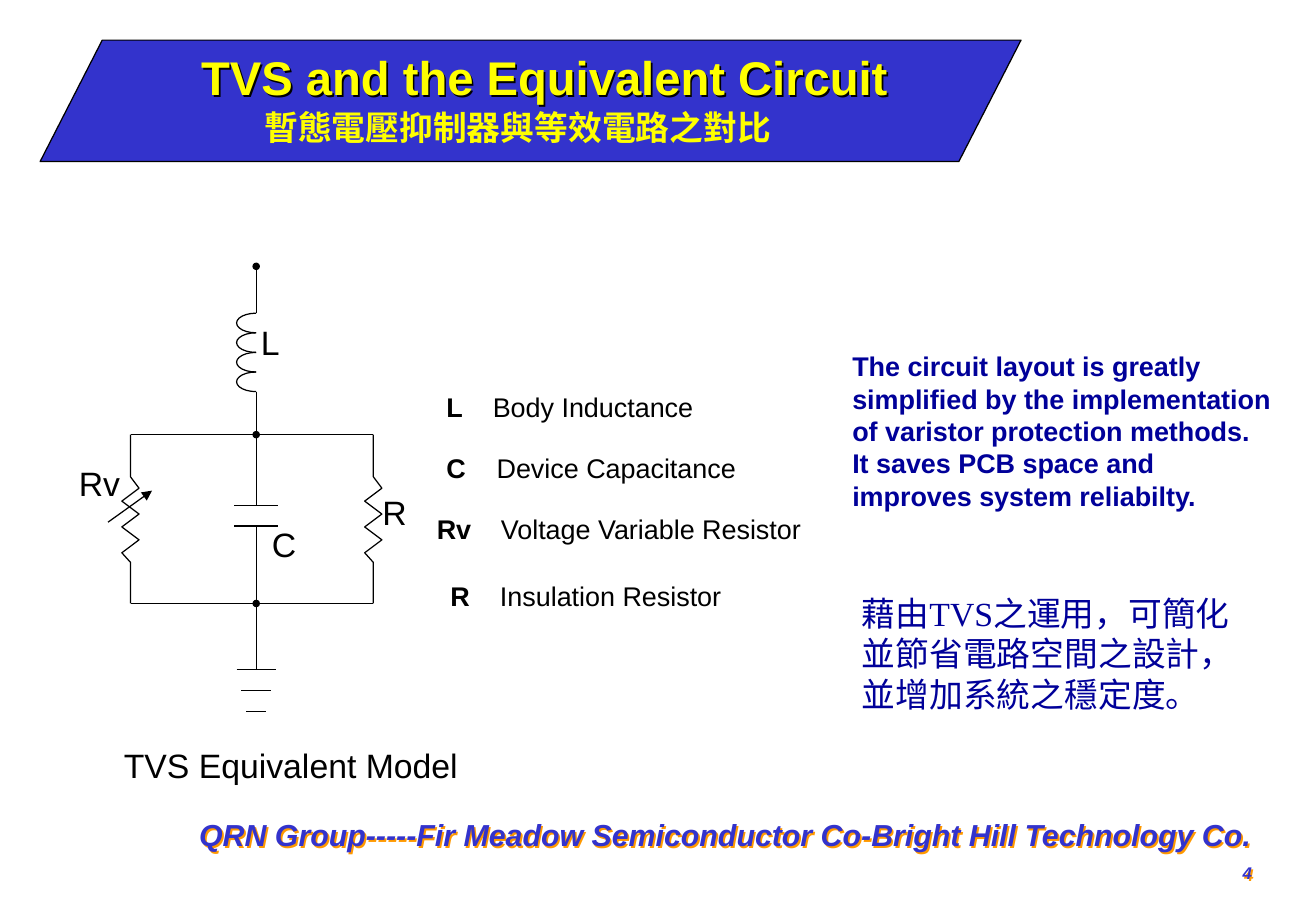
from lxml import etree
from pptx import Presentation
from pptx.dml.color import RGBColor
from pptx.enum.shapes import MSO_CONNECTOR, MSO_SHAPE
from pptx.enum.text import MSO_AUTO_SIZE, PP_ALIGN
from pptx.oxml.ns import qn
from pptx.util import Cm, Pt

BLACK = RGBColor(0x00, 0x00, 0x00)
YELLOW = RGBColor(0xFF, 0xFF, 0x00)
BLUE = RGBColor(0x33, 0x33, 0xCC)
NAVY = RGBColor(0x00, 0x00, 0x99)
ORANGE = RGBColor(0xFF, 0x99, 0x00)
LINE_WIDTH = Pt(0.75)


def write(p, text, size=20, color=BLACK, font="Arial", bold=False, italic=False):
    r = p.add_run()
    r.text = text
    r.font.size = Pt(size)
    r.font.name = font
    r.font.bold = bold
    r.font.italic = italic
    r.font.color.rgb = color


def text_box(s, x, y, w, h, before=0, wrap=True):
    sp = s.shapes.add_textbox(Cm(x), Cm(y), Cm(w), Cm(h))
    tf = sp.text_frame
    tf.word_wrap = wrap
    tf.auto_size = MSO_AUTO_SIZE.SHAPE_TO_FIT_TEXT
    tf.paragraphs[0].space_before = Pt(before)
    return sp, tf.paragraphs[0]


def cast_shadow(sp, color):
    effects = etree.SubElement(sp._element.spPr, qn("a:effectLst"))
    shadow = etree.SubElement(effects, qn("a:outerShdw"), dist="17961", dir="2700000")
    etree.SubElement(shadow, qn("a:srgbClr"), val=str(color))


def outline(sp, fill=None):
    sp.shadow.inherit = False
    sp.line.color.rgb = BLACK
    sp.line.width = LINE_WIDTH
    if fill is None:
        sp.fill.background()
    else:
        sp.fill.solid()
        sp.fill.fore_color.rgb = fill


def wire(s, x1, y1, x2, y2, arrow=False):
    c = s.shapes.add_connector(MSO_CONNECTOR.STRAIGHT, Cm(x1), Cm(y1), Cm(x2), Cm(y2))
    c.line.color.rgb = BLACK
    c.line.width = LINE_WIDTH
    if arrow:
        etree.SubElement(c.line._get_or_add_ln(), qn("a:tailEnd"), type="triangle")
    etree.SubElement(c._element.spPr, qn("a:effectLst"))


def dot(s, x, y, d=0.13):
    sp = s.shapes.add_shape(MSO_SHAPE.OVAL, Cm(x - d / 2), Cm(y - d / 2), Cm(d), Cm(d))
    outline(sp, BLACK)


def resistor(s, x, y, height):
    kinks = [(x + (0.18 if i % 2 == 0 else -0.18), y + 1.12 + 0.27 * i) for i in range(6)]
    points = [(x, y + 0.88), *kinks, (x, y + 2.67), (x, y + height)]
    builder = s.shapes.build_freeform(Cm(x), Cm(y))
    builder.add_line_segments([(Cm(px), Cm(py)) for px, py in points], close=False)
    outline(builder.convert_to_shape())


def coil(s, x, y, loops=4, pitch=0.41, radius=0.41):
    for i in range(loops):
        sp = s.shapes.add_shape(MSO_SHAPE.ARC, Cm(x - radius), Cm(y + i * pitch),
                                Cm(2 * radius), Cm(pitch))
        sp.adjustments[0] = 54
        sp.adjustments[1] = 162
        outline(sp)


def banner(s, x, y, w, h):
    sp = s.shapes.add_shape(MSO_SHAPE.PARALLELOGRAM, Cm(x), Cm(y), Cm(w), Cm(h))
    sp.adjustments[0] = 0.512
    outline(sp, BLUE)
    title, p = text_box(s, x + 3.12, y + 0.05, 14.86, 1.42, wrap=False)
    write(p, "TVS and the Equivalent Circuit", size=28, color=YELLOW, bold=True)
    cast_shadow(title, BLACK)
    _, p = text_box(s, x + 4.44, y + 1.27, 12.7, 1.35, before=5)
    write(p, "暫態電壓抑制器與等效電路之對比", color=YELLOW, bold=True)


def circuit(s, x, y):
    left, trunk, right = x + 1.33, x + 3.96, x + 6.41
    start, bus, bottom = y + 0.06, y + 3.58, y + 7.11
    coil_top, coil_end = y + 1.04, y + 2.68
    plates = y + 5.06, y + 5.49
    ground = y + 8.49

    for y1, y2 in [(start, coil_top), (coil_end, bus), (bus, plates[0]),
                   (plates[1], bottom), (bottom, ground)]:
        wire(s, trunk, y1, trunk, y2)
    for level in (bus, bottom):
        wire(s, left, level, right, level)
    bars = [(plates[0], 0.46), (plates[1], 0.46)]
    bars += [(ground + 0.44 * i, 0.41 - 0.1 * i) for i in range(3)]
    for level, half in bars:
        wire(s, trunk - half, level, trunk + half, level)
    for node in (start, bus, bottom):
        dot(s, trunk, node)
    coil(s, trunk, coil_top)
    for rail in (left, right):
        resistor(s, rail, bus, bottom - bus)
    wire(s, x + 0.86, y + 5.41, x + 1.78, y + 4.75, arrow=True)

    for label, dx, dy, w in [("L", 3.81, 1.09, 1.07), ("R", 6.35, 4.65, 1.07),
                             ("Rv", 0, 4.04, 1.7), ("C", 4.04, 5.31, 1.07),
                             ("TVS Equivalent Model", 0.94, 9.93, 9.53)]:
        _, p = text_box(s, x + dx, y + dy, w, 1.12, before=12.5)
        write(p, label)


def legend(s, x, y, w):
    for symbol, meaning, dx, dy, tab in [
            ("L", "Body Inductance", 0.2, 0, 0.97),
            ("C", "Device Capacitance", 0.2, 1.27, 1.05),
            ("Rv", "Voltage Variable Resistor", 0, 2.54, 1.34),
            ("R", "Insulation Resistor", 0.28, 3.94, 1.04)]:
        _, p = text_box(s, x + dx, y + dy, w, 0.94, before=10)
        tabs = etree.SubElement(p._p.get_or_add_pPr(), qn("a:tabLst"))
        etree.SubElement(tabs, qn("a:tab"), pos=str(Cm(tab)), algn="l")
        write(p, symbol, size=16, bold=True)
        write(p, "\t" + meaning, size=16)


def benefits(s, x, y):
    _, p = text_box(s, x, y, 9.32, 3.63)
    write(p, "The circuit layout is greatly simplified by the implementation of "
             "varistor protection methods. It saves PCB space and improves system "
             "reliabilty.", size=16, color=NAVY, bold=True)
    _, p = text_box(s, x + 0.2, y + 5.08, 8.46, 3.63)
    write(p, "藉由TVS之運用，可簡化並節省電路空間之設計，並增加系統之穩定度。",
          color=NAVY, font="Times New Roman")


def footer(s, x, y, w, h):
    sp, p = text_box(s, x, y, w, h, before=11.2)
    p.alignment = PP_ALIGN.RIGHT
    write(p, "QRN Group-----Fir Meadow Semiconductor Co-Bright Hill Technology Co.",
          size=18, color=BLUE, bold=True, italic=True)
    p = sp.text_frame.add_paragraph()
    p.alignment = PP_ALIGN.RIGHT
    p.space_before = Pt(6.2)
    write(p, "4", size=10, color=BLUE, bold=True, italic=True)
    cast_shadow(sp, ORANGE)


def main():
    prs = Presentation()
    prs.slide_width = Cm(27.53)
    prs.slide_height = Cm(19.05)
    s = prs.slides.add_slide(prs.slide_layouts[6])
    banner(s, 0.84, 0.84, 20.52, 2.54)
    circuit(s, 1.4, 5.51)
    legend(s, 8.89, 8.05, 9.96)
    benefits(s, 17.58, 7.19)
    footer(s, 0.84, 16.94, 25.6, 2.11)
    prs.save("out.pptx")


if __name__ == "__main__":
    main()
